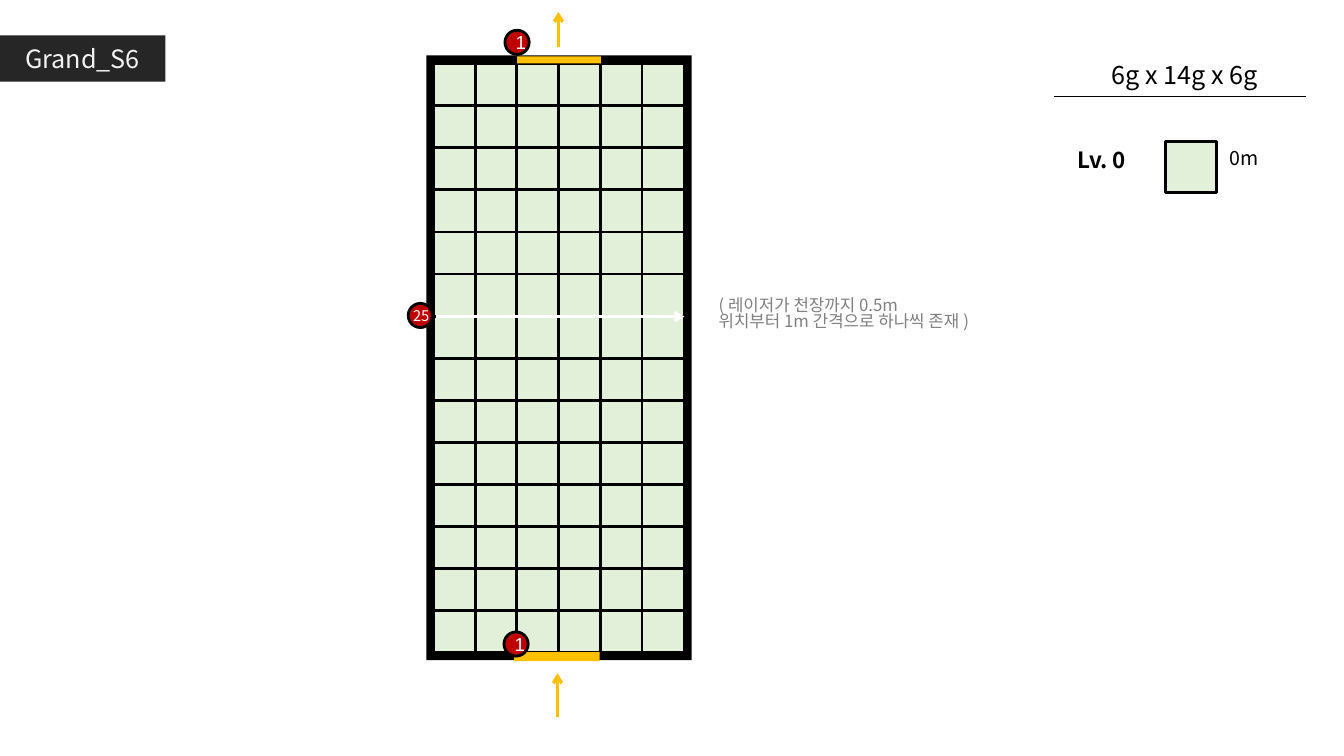
from dataclasses import dataclass
from itertools import product

from pptx import Presentation
from pptx.dml.color import RGBColor
from pptx.enum.shapes import MSO_CONNECTOR as Connector, MSO_SHAPE as Preset
from pptx.enum.text import MSO_ANCHOR as Anchor, MSO_AUTO_SIZE as AutoSize, PP_ALIGN as Align
from pptx.oxml.ns import qn
from pptx.oxml.xmlchemy import OxmlElement
from pptx.shapes.autoshape import Shape
from pptx.slide import Slide
from pptx.util import Pt

BLACK = RGBColor(0x00, 0x00, 0x00)
WHITE = RGBColor(0xFF, 0xFF, 0xFF)
CHARCOAL = RGBColor(0x26, 0x26, 0x26)
PALE = RGBColor(0xF2, 0xF2, 0xF2)
GRAY = RGBColor(0x80, 0x80, 0x80)
GREEN = RGBColor(0xE2, 0xF0, 0xD9)
AMBER = RGBColor(0xFF, 0xC0, 0x00)
RED = RGBColor(0xC0, 0x00, 0x00)

SANS = "Noto Sans CJK KR"
COLUMNS, ROWS = 6, 14
GRID_LEFT, GRID_TOP = 309.6, 45.4
COLUMN_STEP, ROW_STEP = 29.8, 30.07
CELL_SIZE = 30.1
BADGE_SIZE = 17.3


@dataclass(frozen=True)
class Box:
    left: float
    top: float
    width: float
    height: float


@dataclass(frozen=True)
class Style:
    size: float
    color: RGBColor = BLACK
    font: str = SANS
    bold: bool = False
    align: Align = Align.LEFT
    spacing: float = 1.0


@dataclass(frozen=True)
class Label:
    box: Box
    text: str
    style: Style
    anchor: Anchor = Anchor.TOP
    wrap: bool = True


@dataclass(frozen=True)
class Line:
    start: tuple[float, float]
    end: tuple[float, float]
    color: RGBColor
    width: float = 2.25
    arrow: bool = True


BADGE_STYLE = Style(13.4, WHITE, "Arial", align=Align.CENTER)
GATES = [Box(369.4, 40.3, 59.8, 5), Box(367.2, 465.8, 61.2, 6.5)]
BADGES = [(360.7, 21.6, "1"), (291.6, 216.7, ""), (360, 451.4, "1")]
LINES = [
    Line((753.1, 69.1), (933.1, 69.1), BLACK, 1, False),
    Line((398.2, 511.9), (398.2, 481), AMBER),
    Line((398.9, 33.8), (398.9, 8.6), AMBER),
    Line((311.8, 226.1), (488.9, 226.1), WHITE),
]
LABELS = [
    Label(Box(767, 38.9, 158.4, 28.8), "6g x 14g x 6g", Style(18, align=Align.CENTER)),
    Label(Box(762.5, 100.8, 77.8, 25.9), "Lv. 0", Style(16, bold=True)),
    Label(Box(871.2, 100.8, 51.8, 23.8), "0m", Style(14)),
    Label(Box(506.2, 208.1, 221.8, 33.1),
          "( 레이저가 천장까지 0.5m\n위치부터 1m 간격으로 하나씩 존재 )",
          Style(12, GRAY, spacing=0.82), Anchor.MIDDLE),
    Label(Box(288, 215.3, 25.9, 19.4), "25", Style(10.5, WHITE), wrap=False),
]


def write_text(shape: Shape, text: str, style: Style, anchor: Anchor, wrap: bool = True) -> None:
    frame = shape.text_frame
    frame.text = text
    frame.auto_size = AutoSize.NONE
    frame.word_wrap = wrap
    frame.vertical_anchor = anchor
    for paragraph in frame.paragraphs:
        paragraph.alignment = style.align
        paragraph.line_spacing = style.spacing
        font = paragraph.font
        font.size = Pt(style.size)
        font.bold = style.bold
        font.color.rgb = style.color
        font.name = style.font
        east_asian = OxmlElement("a:ea")
        east_asian.set("typeface", style.font)
        paragraph._p.pPr.find(qn("a:defRPr")).append(east_asian)


def add_block(slide: Slide, box: Box, fill: RGBColor, outlined: bool = False,
              preset: Preset = Preset.RECTANGLE) -> Shape:
    shape = slide.shapes.add_shape(preset, Pt(box.left), Pt(box.top), Pt(box.width), Pt(box.height))
    shape.shadow.inherit = False
    shape.fill.solid()
    shape.fill.fore_color.rgb = fill
    if outlined:
        shape.line.color.rgb = BLACK
        shape.line.width = Pt(2)
    else:
        shape.line.fill.background()
    return shape


def add_badge(slide: Slide, left: float, top: float, text: str) -> None:
    badge = add_block(slide, Box(left, top, BADGE_SIZE, BADGE_SIZE), RED, True, Preset.OVAL)
    if text:
        write_text(badge, text, BADGE_STYLE, Anchor.MIDDLE)


def add_label(slide: Slide, label: Label) -> None:
    box = label.box
    shape = slide.shapes.add_textbox(Pt(box.left), Pt(box.top), Pt(box.width), Pt(box.height))
    write_text(shape, label.text, label.style, label.anchor, label.wrap)


def add_line(slide: Slide, line: Line) -> None:
    points = [Pt(value) for value in (*line.start, *line.end)]
    connector = slide.shapes.add_connector(Connector.STRAIGHT, *points)
    connector.line.color.rgb = line.color
    connector.line.width = Pt(line.width)
    if line.arrow:
        tail = OxmlElement("a:tailEnd")
        tail.set("type", "arrow")
        connector.line._get_or_add_ln().append(tail)
    connector._element.spPr.append(OxmlElement("a:effectLst"))


def format_title(slide: Slide) -> None:
    title = slide.shapes.title
    title.left, title.top, title.width, title.height = Pt(0), Pt(25.2), Pt(118.1), Pt(33.1)
    title.fill.solid()
    title.fill.fore_color.rgb = CHARCOAL
    write_text(title, "Grand_S6", Style(18, PALE, align=Align.CENTER), Anchor.MIDDLE)


def add_room(slide: Slide) -> None:
    add_block(slide, Box(304.6, 39.6, 189.4, 432), BLACK)
    for row, column in product(range(ROWS), range(COLUMNS)):
        left = GRID_LEFT + column * COLUMN_STEP
        top = GRID_TOP + row * ROW_STEP
        add_block(slide, Box(left, top, CELL_SIZE, CELL_SIZE), GREEN, True)
    for gate in GATES:
        add_block(slide, gate, AMBER)


def main() -> None:
    presentation = Presentation()
    presentation.slide_width, presentation.slide_height = Pt(960), Pt(540)
    slide = presentation.slides.add_slide(presentation.slide_layouts[5])
    format_title(slide)
    add_room(slide)
    add_block(slide, Box(832.3, 100.8, 36.7, 36.7), GREEN, True)
    for line in LINES:
        add_line(slide, line)
    for left, top, text in BADGES:
        add_badge(slide, left, top, text)
    for label in LABELS:
        add_label(slide, label)
    presentation.save("out.pptx")


if __name__ == "__main__":
    main()
